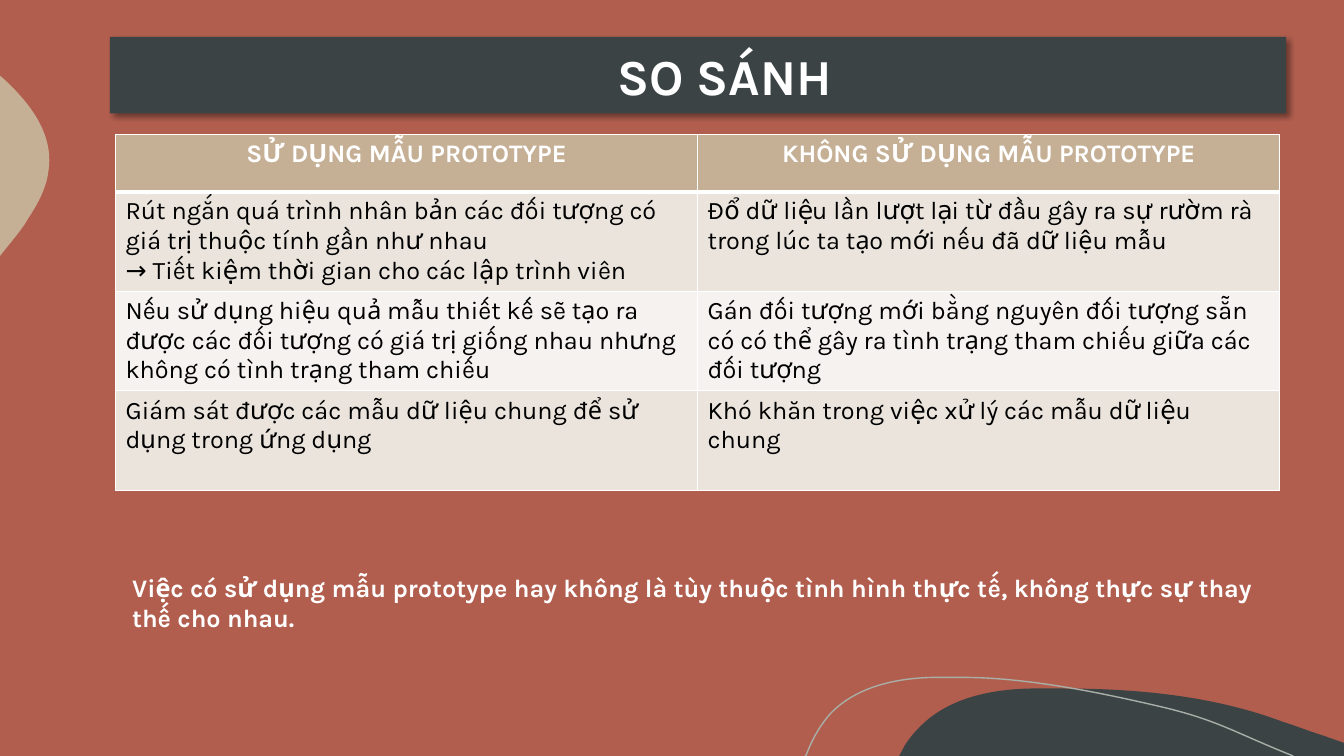
from pptx import Presentation
from pptx.dml.color import RGBColor
from pptx.enum.text import MSO_ANCHOR, PP_ALIGN
from pptx.oxml import parse_xml
from pptx.oxml.ns import nsdecls, qn
from pptx.util import Cm, Pt

RUST = RGBColor(0xB1, 0x5E, 0x4E)
SLATE = RGBColor(0x3B, 0x43, 0x45)
SAND = RGBColor(0xC5, 0xB0, 0x96)
GREY = RGBColor(0xA9, 0xAE, 0xA7)
CREAM = RGBColor(0xEA, 0xE4, 0xDD)
IVORY = RGBColor(0xF5, 0xF2, 0xEF)
WHITE = RGBColor(0xFF, 0xFF, 0xFF)
BLACK = RGBColor(0, 0, 0)
FONT = "Karla"
ARROW = "→"

TITLE = "SO SÁNH"
ROWS = [
    ("SỬ DỤNG MẪU PROTOTYPE", "KHÔNG SỬ DỤNG MẪU PROTOTYPE"),
    ("Rút ngắn quá trình nhân bản các đối tượng có giá trị thuộc tính gần như nhau\n"
     "→ Tiết kiệm thời gian cho các lập trình viên",
     "Đổ dữ liệu lần lượt lại từ đầu gây ra sự rườm rà trong lúc ta tạo mới nếu đã dữ liệu mẫu"),
    ("Nếu sử dụng hiệu quả mẫu thiết kế sẽ tạo ra được các đối tượng có giá trị giống nhau "
     "nhưng không có tình trạng tham chiếu",
     "Gán đối tượng mới bằng nguyên đối tượng sẵn có có thể gây ra tình trạng tham chiếu "
     "giữa các đối tượng"),
    ("Giám sát được các mẫu dữ liệu chung để sử dụng trong ứng dụng",
     "Khó khăn trong việc xử lý các mẫu dữ liệu chung"),
]
CONCLUSION = ("Việc có sử dụng mẫu prototype hay không là tùy thuộc tình hình thực tế, "
              "không thực sự thay thế cho nhau.")

DARK_HILL = [
    [(26.77, 17.35)],
    [(28.65, 17.35), (30.58, 17.53), (32.33, 18.19)],
    [(32.66, 18.29), (32.97, 18.42), (33.3, 18.52)],
    [(33.87, 18.72)], [(33.87, 19.05)], [(22.66, 19.05)], [(22.81, 18.77)],
    [(22.91, 18.62), (23.01, 18.49), (23.14, 18.36)],
    [(23.85, 17.6), (24.94, 17.37), (25.98, 17.35)],
    [(26.24, 17.35), (26.5, 17.35), (26.77, 17.35)],
]
SAND_BLOB = [
    [(0, 1.91)], [(0.03, 1.93)],
    [(0.76, 2.59), (1.37, 3.38), (1.22, 4.32)],
    [(1.17, 4.75), (0.94, 5.16), (0.69, 5.54)],
    [(0.61, 5.69), (0.43, 5.92), (0.2, 6.2)],
    [(0, 6.45)],
]
HILL_OUTLINE = [
    [(20.29, 19.05)], [(20.32, 19.02)],
    [(20.47, 18.62), (20.68, 18.26), (20.93, 17.98)],
    [(21.59, 17.3), (22.58, 17.09), (23.52, 17.07)],
    [(24.26, 17.07)],
    [(25.96, 17.07), (27.94, 17.5), (29.34, 17.83)],
    [(30.71, 18.16), (31.14, 18.47), (32.59, 19.05)],
]


def bend(shape, segments):
    outline = shape._element.find(".//" + qn("a:path"))
    for side, segment in zip(outline.findall(qn("a:lnTo")), segments):
        if len(segment) == 3:
            points = "".join(f'<a:pt x="{Cm(x) - shape.left}" y="{Cm(y) - shape.top}"/>'
                             for x, y in segment)
            outline.replace(side, parse_xml(
                f'<a:cubicBezTo {nsdecls("a")}>{points}</a:cubicBezTo>'))


def add_outline(page, segments, fill=None, line=None):
    start, *ends = [(Cm(x), Cm(y)) for x, y in (segment[-1] for segment in segments)]
    builder = page.shapes.build_freeform(*start)
    builder.add_line_segments(ends, close=False)
    shape = builder.convert_to_shape()
    bend(shape, segments[1:])
    shape.shadow.inherit = False
    if fill is None:
        shape.fill.background()
        shape.line.color.rgb = line
        shape.line.width = Pt(1)
    else:
        shape.fill.solid()
        shape.fill.fore_color.rgb = fill
        shape.line.fill.background()


def write(frame, text, size, color, bold, align=PP_ALIGN.LEFT):
    frame.text = text
    for para in frame.paragraphs:
        para.alignment = align
        font = para.font
        font.name, font.size, font.bold = FONT, Pt(size), bold
        font.color.rgb = color
        if para.text.startswith(ARROW):
            span = para.runs[0]
            rest = span.text.removeprefix(ARROW)
            span.text = ARROW
            para.add_run().text = rest


def add_title(page):
    title = page.shapes.title
    title.left, title.top, title.width, title.height = Cm(2.77), Cm(0.93), Cm(29.64), Cm(1.93)
    title.fill.solid()
    title.fill.fore_color.rgb = SLATE
    frame = title.text_frame
    frame.margin_left = Cm(1.6)
    frame.vertical_anchor = MSO_ANCHOR.MIDDLE
    write(frame, TITLE, 36, WHITE, True, PP_ALIGN.CENTER)
    title._element.spPr.append(parse_xml(
        f'<a:effectLst {nsdecls("a")}><a:outerShdw blurRad="{Pt(4)}" dist="{Pt(3)}" '
        'dir="2700000" algn="tl" rotWithShape="0"><a:srgbClr val="000000">'
        '<a:alpha val="40000"/></a:srgbClr></a:outerShdw></a:effectLst>'))


def add_borders(cell, bottom):
    properties = cell._tc.get_or_add_tcPr()
    for side, points in (("L", 1), ("R", 1), ("T", 1), ("B", bottom)):
        properties.append(parse_xml(
            f'<a:ln{side} {nsdecls("a")} w="{Pt(points)}"><a:solidFill>'
            f'<a:srgbClr val="{WHITE}"/></a:solidFill></a:ln{side}>'))


def add_comparison(page):
    heights = [1.44] + [2.51] * (len(ROWS) - 1)
    table = page.shapes.add_table(len(ROWS), 2, Cm(2.91), Cm(3.39),
                                  Cm(29.34), Cm(sum(heights))).table
    for index, (texts, height) in enumerate(zip(ROWS, heights)):
        table.rows[index].height = Cm(height)
        header = index == 0
        fill = SAND if header else (IVORY, CREAM)[index % 2]
        for column, text in enumerate(texts):
            cell = table.cell(index, column)
            add_borders(cell, 3 if header else 1)
            cell.fill.solid()
            cell.fill.fore_color.rgb = fill
            write(cell.text_frame, text, 18, WHITE if header else BLACK, header,
                  PP_ALIGN.CENTER if header else PP_ALIGN.LEFT)


def add_conclusion(page):
    box = page.shapes.add_textbox(Cm(3.08), Cm(14.29), Cm(29.34), Cm(1.8))
    box.text_frame.word_wrap = True
    write(box.text_frame, CONCLUSION, 18, WHITE, True)


def main():
    deck = Presentation()
    deck.slide_width, deck.slide_height = Cm(33.87), Cm(19.05)
    page = deck.slides.add_slide(deck.slide_layouts[5])
    page.background.fill.solid()
    page.background.fill.fore_color.rgb = RUST
    add_outline(page, DARK_HILL, fill=SLATE)
    add_outline(page, SAND_BLOB, fill=SAND)
    add_outline(page, HILL_OUTLINE, line=GREY)
    add_title(page)
    add_comparison(page)
    add_conclusion(page)
    deck.save("out.pptx")


if __name__ == "__main__":
    main()
